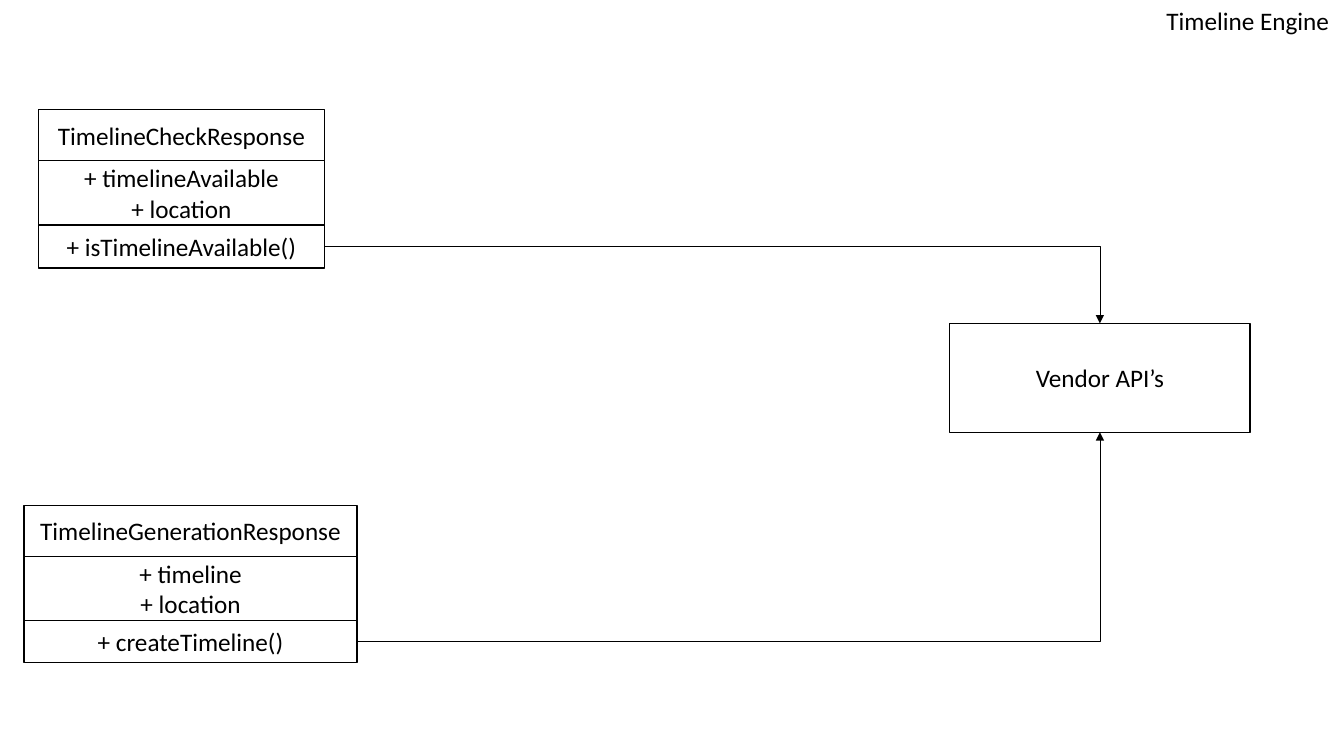
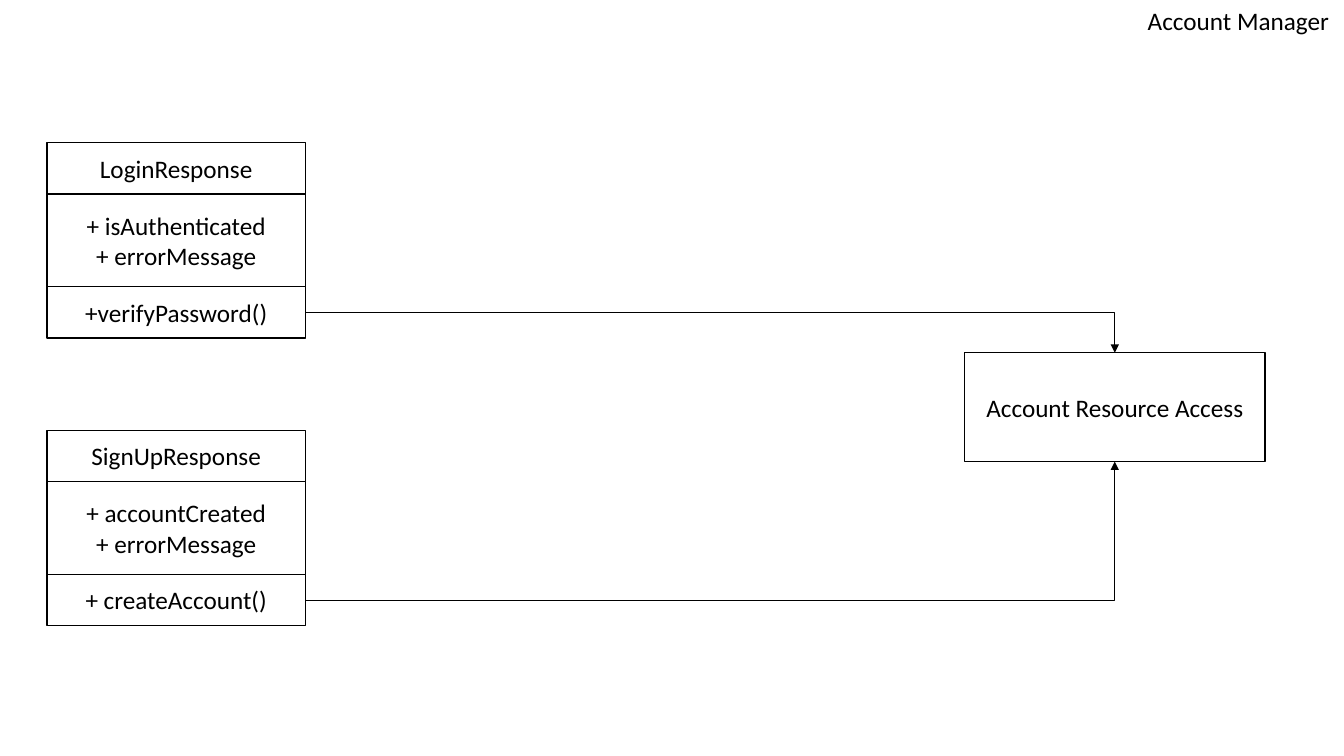
from lxml import etree
from pptx import Presentation
from pptx.dml.color import RGBColor
from pptx.enum import shapes, text
from pptx.oxml.ns import qn
from pptx.util import Pt

INK, PAPER = "000000", "FFFFFF"
FONT, SIZE = "Calibri", 18
WIDE, HIGH = 960, 540
HUB = (214.6, 77.8)
RIGHT, TOP, BASE = 3, 0, 2

PAGES = [
    dict(title="Timeline Engine", span=134, hub=("Vendor API’s", 678.4, 231), classes=[
        (27.4, 78.4, 204.4, TOP, [
            (36.5, ["TimelineCheckResponse"]),
            (45.8, ["+ timelineAvailable", "+ location"]),
            (30.8, ["+ isTimelineAvailable()"])]),
        (17.2, 361, 237.8, BASE, [
            (36.5, ["TimelineGenerationResponse"]),
            (45.8, ["+ timeline", "+ location"]),
            (30, ["+ createTimeline()"])])]),
    dict(title="Account Manager", span=147.4, hub=("Account Resource Access", 689, 252), classes=[
        (33.6, 102, 184.6, TOP, [
            (36.5, ["LoginResponse"]),
            (66.4, ["+ isAuthenticated", "+ errorMessage"]),
            (36.5, ["+verifyPassword()"])]),
        (33.6, 307.4, 184.6, BASE, [
            (36.5, ["SignUpResponse"]),
            (66.4, ["+ accountCreated", "+ errorMessage"]),
            (36.5, ["+ createAccount()"])])]),
]


def color(code):
    return RGBColor.from_string(code)


def write(frame, lines, align):
    for i, words in enumerate(lines):
        para = frame.paragraphs[0] if i == 0 else frame.add_paragraph()
        para.alignment = align
        run = para.add_run()
        run.text = words
        run.font.name, run.font.size = FONT, Pt(SIZE)
        run.font.color.rgb = color(INK)


def stroke(line, width):
    line.color.rgb = color(INK)
    line.width = Pt(width)


def head(slide, words, span):
    title = slide.shapes.title
    title.left, title.top = Pt(WIDE - span), Pt(0)
    title.width, title.height = Pt(span), Pt(29)
    frame = title.text_frame
    frame.word_wrap = False
    frame.auto_size = text.MSO_AUTO_SIZE.SHAPE_TO_FIT_TEXT
    frame.vertical_anchor = text.MSO_ANCHOR.TOP
    write(frame, [words], text.PP_ALIGN.LEFT)


def box(slide, x, y, w, h, lines):
    shape = slide.shapes.add_shape(shapes.MSO_SHAPE.RECTANGLE, Pt(x), Pt(y), Pt(w), Pt(h))
    shape.shadow.inherit = False
    shape.fill.solid()
    shape.fill.fore_color.rgb = color(PAPER)
    stroke(shape.line, 1)
    shape.text_frame.vertical_anchor = text.MSO_ANCHOR.MIDDLE
    write(shape.text_frame, lines, text.PP_ALIGN.CENTER)
    return shape


def stack(slide, x, y, w, rows):
    for h, lines in rows:
        last = box(slide, x, y, w, h, lines)
        y += h
    return last


def link(slide, start, end, side):
    arrow = slide.shapes.add_connector(shapes.MSO_CONNECTOR.ELBOW, 0, 0, 0, 0)
    arrow.begin_connect(start, RIGHT)
    arrow.end_connect(end, side)
    stroke(arrow.line, 0.5)
    props = arrow._element.spPr
    props.find(qn("a:prstGeom")).set("prst", "bentConnector2")
    etree.SubElement(props.find(qn("a:ln")), qn("a:tailEnd"), type="triangle")
    etree.SubElement(props, qn("a:effectLst"))


deck = Presentation()
deck.slide_width, deck.slide_height = Pt(WIDE), Pt(HIGH)
for page in PAGES:
    slide = deck.slides.add_slide(deck.slide_layouts[5])
    head(slide, page["title"], page["span"])
    ends = [(stack(slide, x, y, w, rows), side) for x, y, w, side, rows in page["classes"]]
    name, x, y = page["hub"]
    hub = box(slide, x, y, *HUB, [name])
    for start, side in ends:
        link(slide, start, hub, side)
deck.save("out.pptx")
